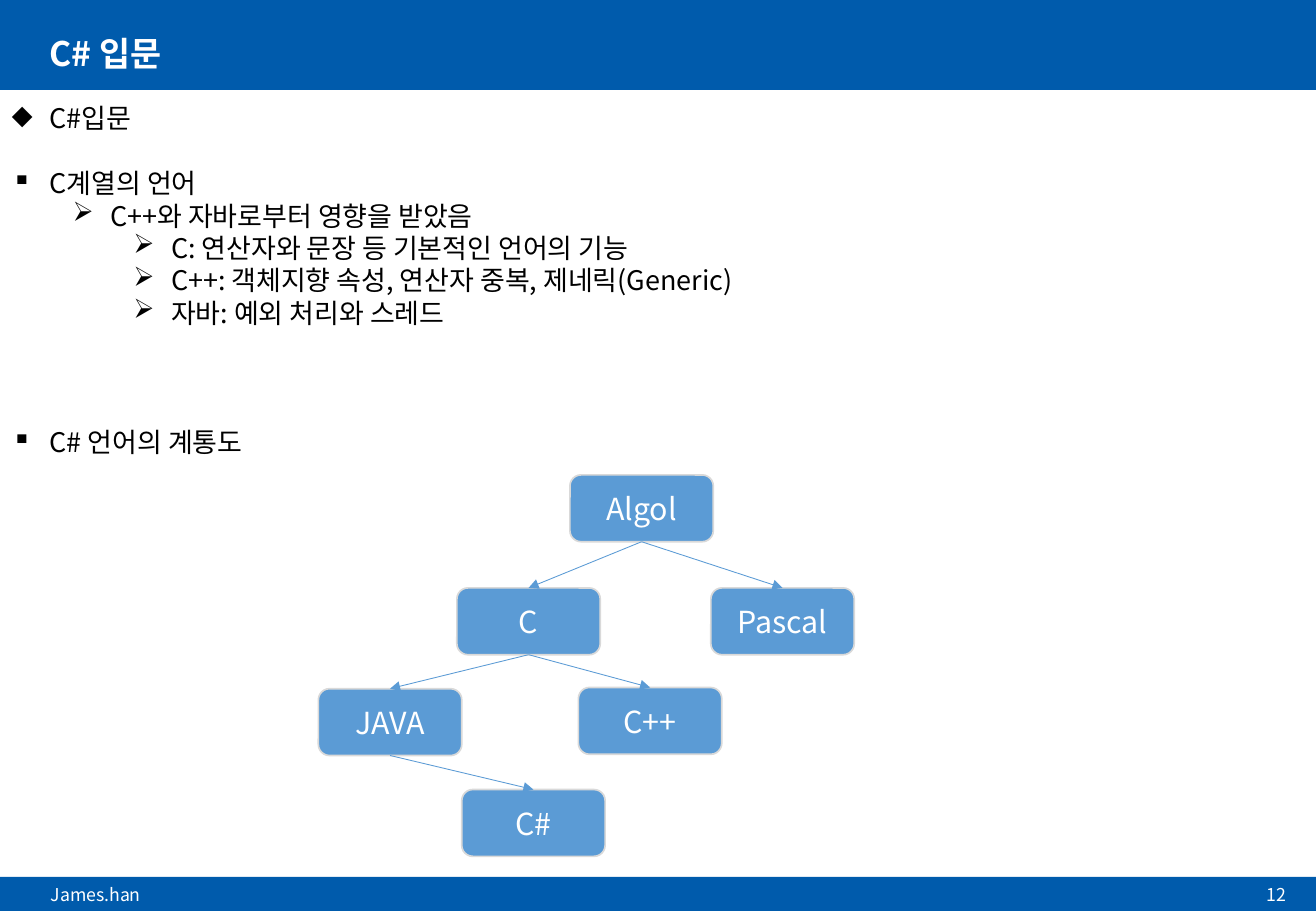
from dataclasses import dataclass

from lxml.etree import SubElement
from pptx import Presentation
from pptx.dml.color import RGBColor
from pptx.enum.shapes import MSO_CONNECTOR, MSO_SHAPE
from pptx.enum.text import MSO_ANCHOR, PP_ALIGN
from pptx.oxml.ns import qn
from pptx.shapes.autoshape import Shape
from pptx.slide import Slide
from pptx.util import Inches, Pt

COLUMNS, ROWS = 1083, 750
WIDTH, HEIGHT = Inches(10.83), Inches(7.5)
BOX_COLUMNS, BOX_ROWS = 118, 55
BOTTOM_SITE, TOP_SITE = 2, 0


@dataclass(frozen=True)
class Theme:
    font: str = "Noto Sans CJK KR"
    band: str = "005BAC"
    box: str = "5B9BD5"
    border: str = "D9D9D9"
    light: str = "FFFFFF"
    dark: str = "000000"
    title_size: float = 20
    body_size: float = 16
    body_pitch: float = 19.2
    box_size: float = 18
    footer_size: float = 10.5


@dataclass(frozen=True)
class Area:
    column: int
    row: int
    columns: int
    rows: int

    def lengths(self) -> tuple[int, int, int, int]:
        return (
            WIDTH * self.column // COLUMNS,
            HEIGHT * self.row // ROWS,
            WIDTH * self.columns // COLUMNS,
            HEIGHT * self.rows // ROWS,
        )


@dataclass(frozen=True)
class OutlineItem:
    text: str
    bullet: str
    level: int = 0
    lines_before: int = 0


@dataclass(frozen=True)
class Language:
    name: str
    column: int
    row: int
    parent: str = ""


THEME = Theme()

OUTLINE = [
    OutlineItem("C#입문", "◆"),
    OutlineItem("C계열의 언어", "▪", lines_before=1),
    OutlineItem("C++와 자바로부터 영향을 받았음", "➢", 1),
    OutlineItem("C: 연산자와 문장 등 기본적인 언어의 기능", "➢", 2),
    OutlineItem("C++: 객체지향 속성, 연산자 중복, 제네릭(Generic)", "➢", 2),
    OutlineItem("자바: 예외 처리와 스레드", "➢", 2),
    OutlineItem("C# 언어의 계통도", "▪", lines_before=3),
]

FAMILY = [
    Language("Algol", 469, 391),
    Language("C", 376, 484, "Algol"),
    Language("Pascal", 585, 484, "Algol"),
    Language("JAVA", 262, 567, "C"),
    Language("C++", 476, 566, "C"),
    Language("C#", 380, 650, "JAVA"),
]


def color(value: str) -> RGBColor:
    return RGBColor.from_string(value)


def write(para, text: str, *, size: float, ink: str, bold: bool = False,
          align: PP_ALIGN = PP_ALIGN.LEFT) -> None:
    para.alignment = align
    span = para.add_run()
    span.text = text
    span.font.size = Pt(size)
    span.font.bold = bold
    span.font.color.rgb = color(ink)
    span.font.name = THEME.font
    SubElement(span.font._element, qn("a:ea"), typeface=THEME.font)


def add_box(page: Slide, area: Area, shape: MSO_SHAPE, fill: str) -> Shape:
    box = page.shapes.add_shape(shape, *area.lengths())
    box.shadow.inherit = False
    box.fill.solid()
    box.fill.fore_color.rgb = color(fill)
    box.line.fill.background()
    return box


def add_label(page: Slide, area: Area, text: str, **text_format) -> None:
    frame = page.shapes.add_textbox(*area.lengths()).text_frame
    frame.word_wrap = True
    frame.vertical_anchor = MSO_ANCHOR.MIDDLE
    frame.margin_top = frame.margin_bottom = 0
    write(frame.paragraphs[0], text, **text_format)


def add_outline(page: Slide, area: Area, items: list[OutlineItem]) -> None:
    frame = page.shapes.add_textbox(*area.lengths()).text_frame
    frame.word_wrap = True
    for index, item in enumerate(items):
        para = frame.add_paragraph() if index else frame.paragraphs[0]
        para.level = item.level
        para.line_spacing = Pt(THEME.body_pitch)
        para.space_before = Pt(THEME.body_pitch * item.lines_before)
        write(para, item.text, size=THEME.body_size, ink=THEME.dark)
        properties = para._p.get_or_add_pPr()
        properties.set("marL", str(Inches(0.31 + 0.5 * item.level)))
        properties.set("indent", str(-Inches(0.31)))
        SubElement(properties, qn("a:buChar"), char=item.bullet)


def add_language(page: Slide, language: Language) -> Shape:
    area = Area(language.column, language.row, BOX_COLUMNS, BOX_ROWS)
    box = add_box(page, area, MSO_SHAPE.ROUNDED_RECTANGLE, THEME.box)
    box.line.color.rgb = color(THEME.border)
    box.line.width = Pt(1)
    box.text_frame.vertical_anchor = MSO_ANCHOR.MIDDLE
    write(box.text_frame.paragraphs[0], language.name, size=THEME.box_size,
          ink=THEME.light, align=PP_ALIGN.CENTER)
    return box


def add_arrow(page: Slide, parent: Shape, child: Shape) -> None:
    arrow = page.shapes.add_connector(MSO_CONNECTOR.STRAIGHT, 0, 0, 0, 0)
    arrow.begin_connect(parent, BOTTOM_SITE)
    arrow.end_connect(child, TOP_SITE)
    arrow.line.color.rgb = color(THEME.box)
    arrow.line.width = Pt(0.5)
    SubElement(arrow.line._get_or_add_ln(), qn("a:tailEnd"), type="triangle")
    SubElement(arrow._element.spPr, qn("a:effectLst"))


def main() -> None:
    deck = Presentation()
    deck.slide_width, deck.slide_height = WIDTH, HEIGHT
    page = deck.slides.add_slide(deck.slide_layouts[6])

    for band in (Area(0, 0, COLUMNS, 74), Area(0, 722, COLUMNS, 28)):
        add_box(page, band, MSO_SHAPE.RECTANGLE, THEME.band)
    add_label(page, Area(32, 722, 739, 28), "James.han",
              size=THEME.footer_size, ink=THEME.light)
    add_label(page, Area(31, 25, 1023, 38), "C# 입문",
              size=THEME.title_size, ink=THEME.light, bold=True)
    add_label(page, Area(917, 724, 151, 25), "12",
              size=THEME.footer_size, ink=THEME.light, align=PP_ALIGN.RIGHT)
    add_outline(page, Area(0, 79, COLUMNS, 645), OUTLINE)

    boxes = {language.name: add_language(page, language) for language in FAMILY}
    for language in FAMILY:
        if language.parent:
            add_arrow(page, boxes[language.parent], boxes[language.name])

    deck.save("out.pptx")


if __name__ == "__main__":
    main()
